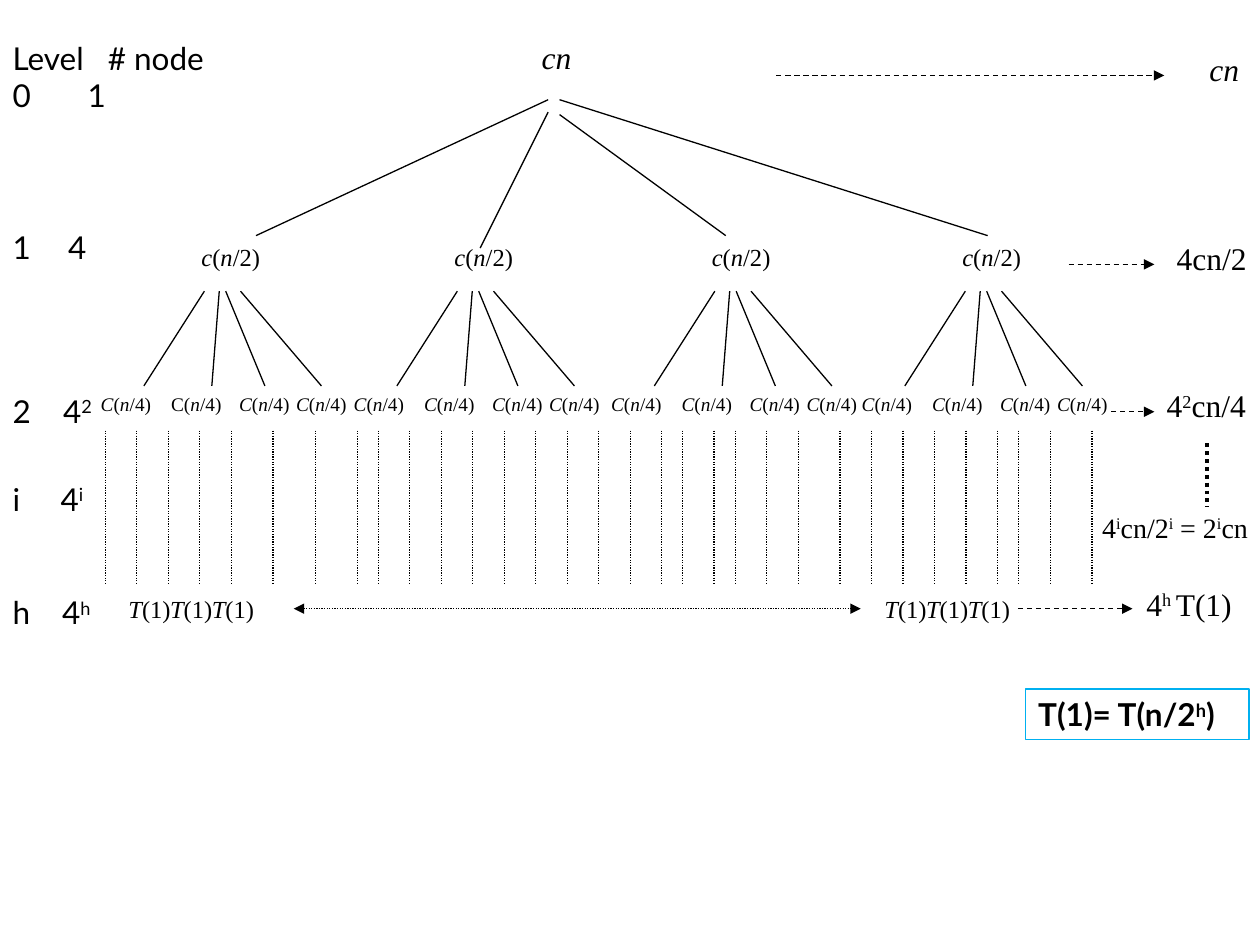
from dataclasses import dataclass
from itertools import accumulate

from lxml.etree import SubElement
from pptx import Presentation
from pptx.dml.color import RGBColor
from pptx.enum.dml import MSO_LINE
from pptx.enum.shapes import MSO_CONNECTOR, MSO_SHAPE
from pptx.enum.text import MSO_ANCHOR, MSO_AUTO_SIZE, PP_ALIGN
from pptx.oxml.ns import qn
from pptx.util import Cm, Pt


@dataclass(frozen=True)
class Theme:
    ink: RGBColor = RGBColor(0, 0, 0)
    accent: RGBColor = RGBColor(0x00, 0xB0, 0xF0)
    serif: str = "Times New Roman"
    sans: str = "Lato"
    large: float = 18
    medium: float = 16
    small: float = 14
    tiny: float = 11
    thin: float = 0.75
    thick: float = 2.25


THEME = Theme()
NO_GRID_STYLE = "{2D5ABB26-0587-4C30-8999-92F81FD0307C}"


def write(para, markup, size, font=THEME.serif, bold=False):
    """Add spans split at |, where ~ marks italic and ^ marks superscript."""
    for piece in markup.split("|"):
        span = para.add_run()
        span.text = piece.lstrip("~^")
        values = {"name": font, "size": Pt(size), "bold": bold,
                  "italic": piece.startswith("~")}
        for name, value in values.items():
            setattr(span.font, name, value)
        span.font.color.rgb = THEME.ink
        if piece.startswith("^"):
            span.font._element.set("baseline", "30000")


def label(page, box, markup, size, wrap=False):
    shape = page.shapes.add_textbox(*map(Cm, box))
    shape.text_frame.word_wrap = wrap
    shape.text_frame.auto_size = MSO_AUTO_SIZE.SHAPE_TO_FIT_TEXT
    write(shape.text_frame.paragraphs[0], markup, size)


def line(page, start, end, dash=None, width=THEME.thin, arrows=()):
    """Draw a straight line; arrows holds headEnd and/or tailEnd."""
    connector = page.shapes.add_connector(
        MSO_CONNECTOR.STRAIGHT, *map(Cm, (*start, *end)))
    connector.line.color.rgb = THEME.ink
    connector.line.width = Pt(width)
    if dash:
        connector.line.dash_style = dash
    for arrow in arrows:
        SubElement(connector.line._get_or_add_ln(), qn(f"a:{arrow}"), type="triangle")
    SubElement(connector._element.spPr, qn("a:effectLst"))


def root(page, left, top):
    label(page, (left, top, 1.12, 1.02), "~cn", THEME.large)
    branches = [(0.38, 1.37, -5.51, 4.11), (0.38, 1.62, -0.99, 4.36),
                (0.61, 1.67, 3.96, 4.11), (0.61, 1.37, 9.24, 4.11)]
    for x1, y1, x2, y2 in branches:
        line(page, (left + x1, top + y1), (left + x2, top + y2))


def subtree(page, left, top, upright_leaf=None):
    """Draw one c(n/2) node with its four leaves."""
    label(page, (left + 2.03, top, 1.7, 0.86), "~c|(|~n|/2)", THEME.small)
    branches = [(2.34, 1.12, 0, 1.65), (2.64, 2.49, 1.42, 1.57),
                (2.77, 3.56, 2.79, 1.57), (3.07, 4.7, 3.94, 1.57)]
    for index, (start, end, leaf, width) in enumerate(branches):
        line(page, (left + start, top + 1.12), (left + end, top + 3.03))
        markup = "C(|~n|/4)" if index == upright_leaf else "~C|(|~n|/4)"
        label(page, (left + leaf, top + 3.03, width, 0.74), markup, THEME.tiny, wrap=True)


def descent(page, left, top, height):
    """Draw the dotted lines; their gaps are counted in twelfths of an inch."""
    gaps = [0, *[3] * 4, *[4] * 3, 2, *[3] * 9, 2, 3, 2, 3, 3, 4, *[3] * 5, 2, 3, 4]
    for step in accumulate(gaps):
        x = left + step * 2.54 / 12
        line(page, (x, top), (x, top + height), MSO_LINE.ROUND_DOT)


def base_cases(page, left, top):
    for group in (0, 15.24):
        for index in range(3):
            box = (left + group + index * 0.84, top, 1.42, 0.84)
            label(page, box, "~T|(1)", THEME.small)
    line(page, (left + 3.58, top + 0.41), (left + 15.01, top + 0.41),
         MSO_LINE.ROUND_DOT, arrows=("headEnd", "tailEnd"))


def level_table(page, left, top):
    widths, heights = (7.09, 7.09, 9.96), (4.83, 3.3, 4.83, 2.9)
    frame = page.shapes.add_table(len(heights), len(widths), Cm(left), Cm(top),
                                  Cm(sum(widths)), Cm(sum(heights)))
    table = frame.table
    table.first_row = table.horz_banding = False
    table._tbl.tblPr.find(qn("a:tableStyleId")).text = NO_GRID_STYLE
    for column, width in zip(table.columns, widths):
        column.width = Cm(width)
    for row, height in zip(table.rows, heights):
        row.height = Cm(height)
    for cell in table.iter_cells():
        cell.fill.background()

    # Each line: text, position of the node count, space before, numbered
    entries = [
        (MSO_ANCHOR.TOP, [("Level\t# node", 1.92, 0, False), ("0\t1", 1.51, 0, False),
                          ("4", 1.12, 64.8, True)]),
        (MSO_ANCHOR.BOTTOM, [("2\t4|^2", 1.02, 0, False)]),
        (MSO_ANCHOR.MIDDLE, [("i\t4|^i", 0.97, 0, False), ("h\t4|^h", 1, 43.2, False)]),
    ]
    for row, (anchor, lines) in enumerate(entries):
        cell = table.cell(row, 0)
        cell.vertical_anchor = anchor
        for index, (markup, stop, space, numbered) in enumerate(lines):
            frame = cell.text_frame
            para = frame.paragraphs[0] if index == 0 else frame.add_paragraph()
            if space:
                para.space_before = Pt(space)
            properties = para._p.get_or_add_pPr()
            if numbered:
                properties.set("marL", str(Cm(stop)))
                properties.set("indent", str(-Cm(stop)))
                SubElement(properties, qn("a:buFont"), typeface=THEME.sans)
                SubElement(properties, qn("a:buAutoNum"), type="arabicPlain")
            else:
                tabs = SubElement(properties, qn("a:tabLst"))
                SubElement(tabs, qn("a:tab"), pos=str(Cm(stop)), algn="l")
            write(para, markup, THEME.large, THEME.sans)


def level_costs(page, left, top):
    """Draw the cost of each level, with the arrow that points at it."""
    costs = [("~cn", 8.48, 0, 1.12, 0, 7.82, 0.63),
             ("4cn/2", 7.82, 3.81, 1.93, 5.89, 7.62, 4.44),
             ("4|^2|cn/4", 7.62, 6.77, 2.16, 6.75, 7.62, 7.41),
             ("4|^h |T(1)", 7.21, 10.77, 2.29, 4.87, 7.18, 11.38)]
    for markup, x, y, width, start, end, arrow_y in costs:
        line(page, (left + start, top + arrow_y), (left + end, top + arrow_y),
             MSO_LINE.DASH, arrows=("tailEnd",))
        label(page, (left + x, top + y, width, 1.02), markup, THEME.large)
    line(page, (left + 8.68, top + 8.05), (left + 8.68, top + 9.32),
         MSO_LINE.ROUND_DOT, THEME.thick)
    label(page, (left + 6.32, top + 9.27, 3.86, 0.94),
          "4|^i|cn/2|^i| = 2|^i|cn", THEME.medium, wrap=True)


def boundary_condition(page, left, top):
    shape = page.shapes.add_shape(MSO_SHAPE.RECTANGLE, Cm(left), Cm(top), Cm(4.5), Cm(1.02))
    shape.shadow.inherit = False
    shape.fill.background()
    shape.line.color.rgb = THEME.accent
    shape.line.width = Pt(THEME.thin)
    shape.text_frame.vertical_anchor = MSO_ANCHOR.TOP
    para = shape.text_frame.paragraphs[0]
    para.alignment = PP_ALIGN.LEFT
    write(para, "T(1)= T(n/2|^h|)", THEME.large, THEME.sans, bold=True)


def main():
    deck = Presentation()
    deck.slide_width, deck.slide_height = Cm(25.4), Cm(19.05)
    page = deck.slides.add_slide(deck.slide_layouts[6])
    root(page, 10.67, 0.64)
    for index, left in enumerate((1.78, 6.88, 12.07, 17.12)):
        subtree(page, left, 4.75, upright_leaf=1 if index == 0 else None)
    descent(page, 2.12, 8.68, 3.07)
    level_table(page, 0, 0.66)
    level_costs(page, 15.65, 0.89)
    base_cases(page, 2.34, 11.86)
    boundary_condition(page, 20.68, 13.89)
    deck.save("out.pptx")


if __name__ == "__main__":
    main()
